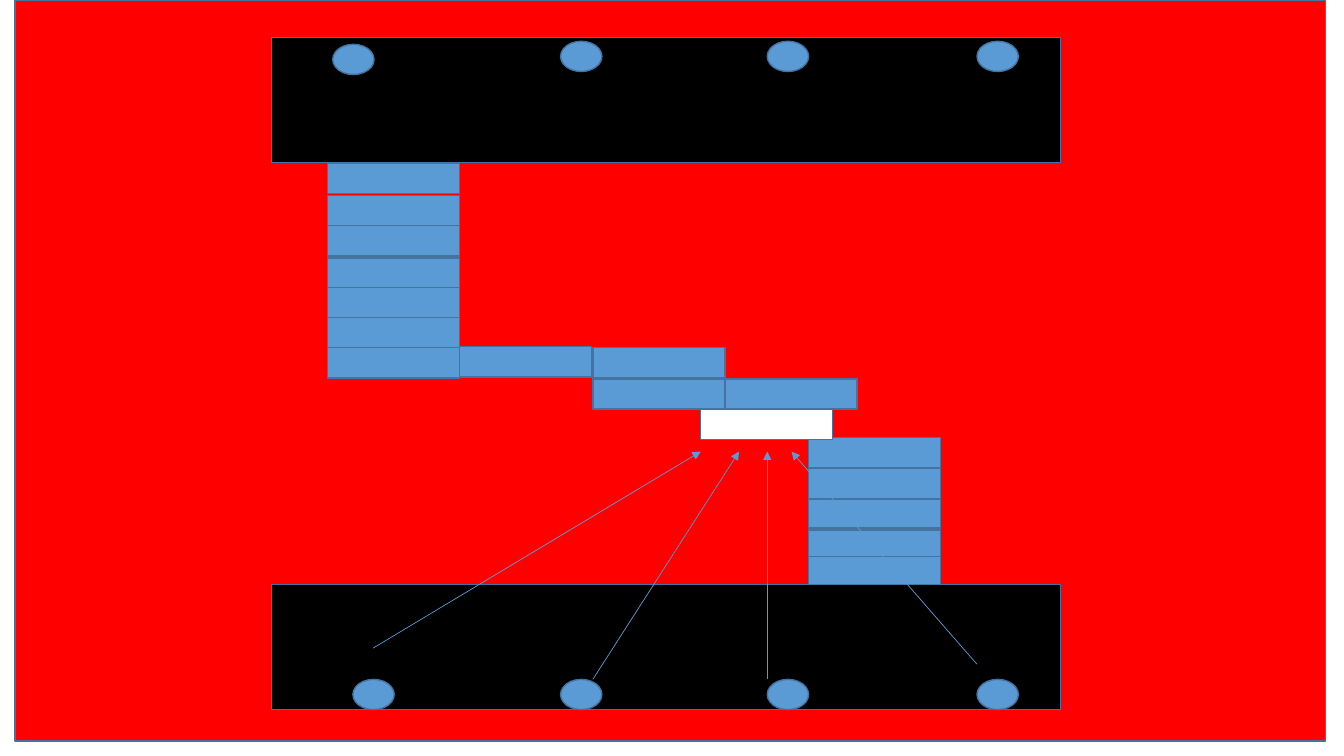
from pptx import Presentation
from pptx.dml.color import RGBColor
from pptx.enum.shapes import MSO_CONNECTOR, MSO_SHAPE
from pptx.oxml.ns import qn
from pptx.util import Inches, Pt
from lxml import etree

RECT, OVAL = MSO_SHAPE.RECTANGLE, MSO_SHAPE.OVAL
LINE = MSO_CONNECTOR.STRAIGHT

THEME = {
    "field": "FF0000", "bank": "000000", "blue": "5B9BD5",
    "white": "FFFFFF", "edge": "43739E", "rim": 1, "ray": 0.5,
}

FIELD = (0.15, 0, 13, 7.35)
BANK_X, BANK_W, BANK_H = 2.69, 7.83, 1.24
BANKS = [0.37, 5.8]
DOT_W, DOT_H = 0.41, 0.3
DOT_COLS = [5.56, 7.61, 9.69]
LOW, HIGH = 6.74, 0.41
DOTS = [(3.5, LOW), (3.3, 0.44)] + [(x, y) for y in (LOW, HIGH) for x in DOT_COLS]

STEP_W, STEP_H = 1.31, 0.3
LEFT, RIGHT = 3.25, 8.02
STACKS = [
    (LEFT, [1.62, 1.94, 2.24, 2.56, 2.85, 3.15, 3.45]),
    (LEFT + STEP_W, [3.44]),
    (LEFT + 2 * STEP_W + 0.01, [3.45, 3.76]),
    (RIGHT, [5.5]),
]
THIN = (RIGHT, 5.26, STEP_W, 0.26)
UPPER = [4.94, 4.65, 4.34]
GAP = (6.95, 4.06)
LAST = (7.19, 3.76)

TIP = 4.48
RAYS = [(3.7, 6.43, 6.95), (5.88, LOW, 7.33), (7.61, LOW, 7.61), (9.69, 6.59, 7.85)]

deck = Presentation()
deck.slide_width, deck.slide_height = Inches(13.33), Inches(7.5)
slide = deck.slides.add_slide(deck.slide_layouts[6])


def color(name):
    return RGBColor.from_string(THEME[name])


def draw(kind, box, fill):
    shape = slide.shapes.add_shape(kind, *map(Inches, box))
    shape.shadow.inherit = False
    shape.fill.solid()
    shape.fill.fore_color.rgb = color(fill)
    shape.line.color.rgb = color("edge")
    shape.line.width = Pt(THEME["rim"])


def step(x, y, fill="blue"):
    draw(RECT, (x, y, STEP_W, STEP_H), fill)


def arrow(x, y, end):
    ray = slide.shapes.add_connector(LINE, *map(Inches, (x, y, end, TIP)))
    ray.line.color.rgb = color("blue")
    ray.line.width = Pt(THEME["ray"])
    props = ray._element.spPr
    etree.SubElement(props.find(qn("a:ln")), qn("a:tailEnd"), type="triangle")
    etree.SubElement(props, qn("a:effectLst"))


draw(RECT, FIELD, "field")
for y in BANKS:
    draw(RECT, (BANK_X, y, BANK_W, BANK_H), "bank")
for x, y in DOTS:
    draw(OVAL, (x, y, DOT_W, DOT_H), "blue")
for x, tops in STACKS:
    for y in tops:
        step(x, y)
draw(RECT, THIN, "blue")
for y in UPPER:
    step(RIGHT, y)
step(*GAP, "white")
step(*LAST)
for ray in RAYS:
    arrow(*ray)

deck.save("out.pptx")
